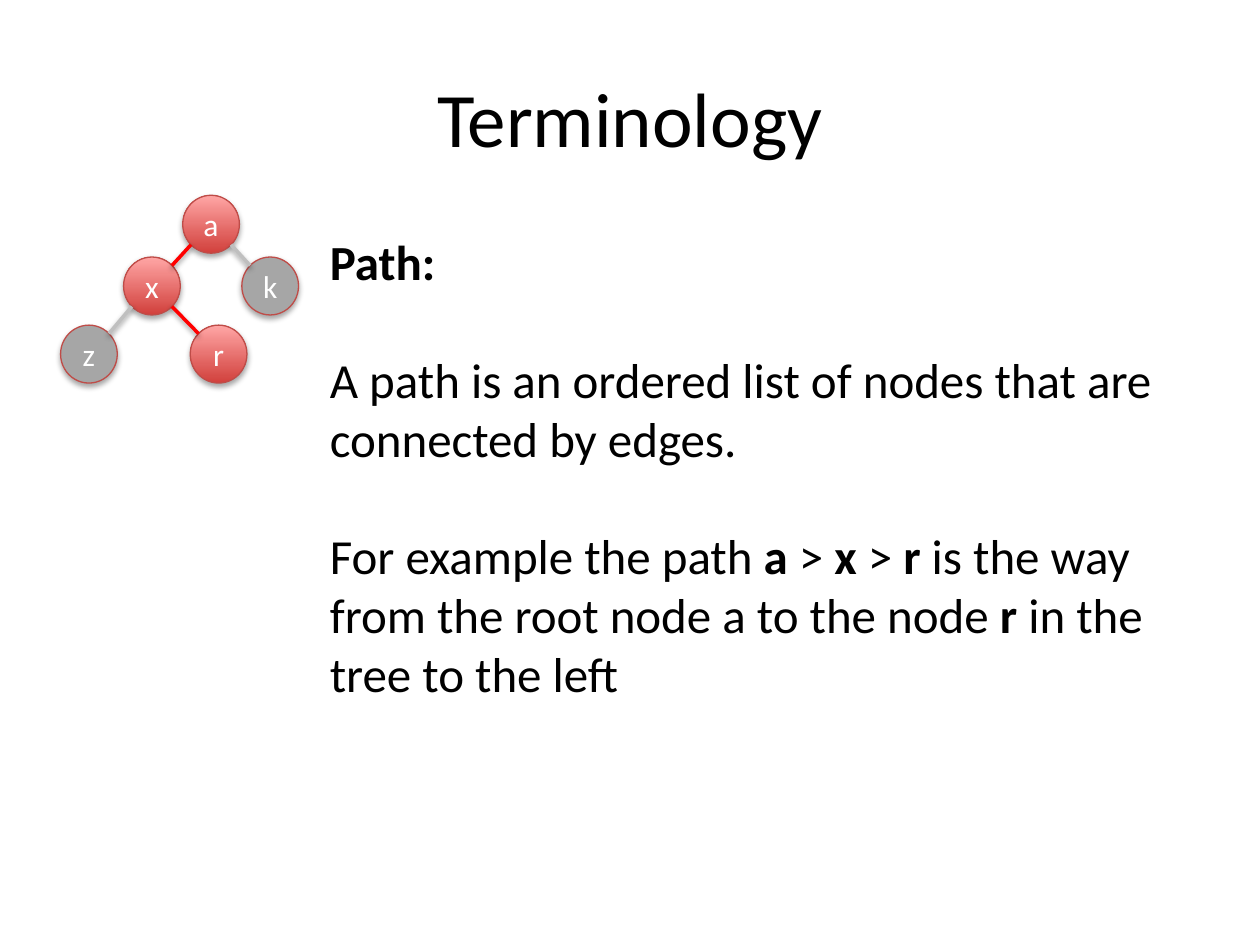
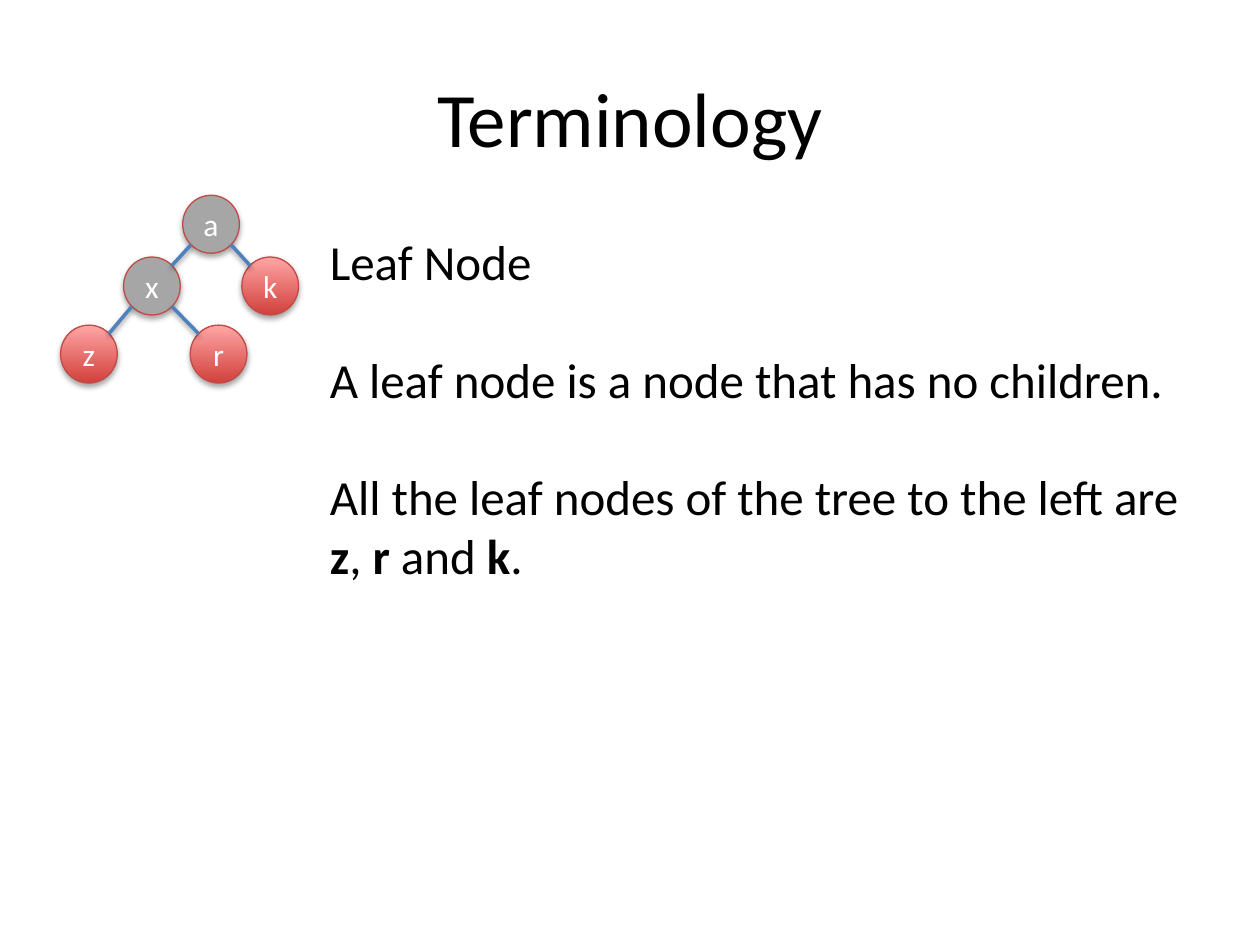
"""Build two terminology slides, each with a small tree beside a definition."""
from math import sqrt

from pptx import Presentation
from pptx.dml.color import RGBColor
from pptx.enum.shapes import MSO_CONNECTOR, MSO_SHAPE
from pptx.enum.text import MSO_ANCHOR as Anchor, MSO_AUTO_SIZE as AutoSize, PP_ALIGN as Align
from pptx.oxml import parse_xml
from pptx.oxml.ns import nsdecls
from pptx.util import Pt

FONT = "Calibri"
BLACK, WHITE, GRAY = "000000", "FFFFFF", "A6A6A6"
RED_DARK, RED_LIGHT, RED_LINE = "D1403C", "FFA6A5", "BF4C48"
PATH_RED, FADED, BLUE = "FF0000", "BFBFBF", "4F81BD"
NODE_WIDTH, NODE_HEIGHT = 32.4, 33.1
NODES = {"k": (138.2, 146.9), "a": (104.4, 111.6), "x": (70.6, 146.9),
         "z": (34.6, 185.8), "r": (108.7, 185.8)}
EDGES = ["ax", "ak", "xz", "xr"]
SLIDES = [
    {"highlighted": "axr", "edge_on": PATH_RED, "edge_off": FADED, "height": 300,
     "text": ["*Path:*",
              "A path is an ordered list of nodes that are connected by edges.",
              "For example the path *a* > *x* > *r* is the way from the root node a "
              "to the node *r* in the tree to the left"]},
    {"highlighted": "zrk", "edge_on": BLUE, "edge_off": BLUE, "height": 266.4,
     "text": ["Leaf Node",
              "A leaf node is a node that has no children.",
              "All the leaf nodes of the tree to the left are *z*, *r* and *k*."]},
]


def write(para, text, size, color=BLACK, align=Align.LEFT, before=0):
    """Fill a paragraph; words between asterisks are bold."""
    para.alignment = align
    para.space_before = Pt(before)
    for index, part in enumerate(text.split("*")):
        if part:
            span = para.add_run()
            span.text = part
            span.font.name = FONT
            span.font.size = Pt(size)
            span.font.bold = index % 2 == 1
            span.font.color.rgb = RGBColor.from_string(color)


def add_shadow(properties, distance, opacity):
    """Give shape properties a soft shadow that falls straight down."""
    for old in properties.findall("{*}effectLst"):
        properties.remove(old)
    properties.append(parse_xml(
        f'<a:effectLst {nsdecls("a")}><a:outerShdw blurRad="{Pt(3.15)}" dist="{Pt(distance)}" '
        f'dir="5400000" rotWithShape="0"><a:srgbClr val="{BLACK}">'
        f'<a:alpha val="{opacity * 1000}"/></a:srgbClr></a:outerShdw></a:effectLst>'))


deck = Presentation()
deck.slide_width, deck.slide_height = Pt(720), Pt(540)

for content in SLIDES:
    page = deck.slides.add_slide(deck.slide_layouts[5])
    title = page.shapes.title
    title.left, title.top, title.width, title.height = Pt(36), Pt(21.6), Pt(648), Pt(90)
    title.text_frame.vertical_anchor = Anchor.MIDDLE
    write(title.text_frame.paragraphs[0], "Terminology", size=44, align=Align.CENTER)

    box = page.shapes.add_textbox(Pt(181.4), Pt(128.9), Pt(502.6), Pt(content["height"]))
    frame = box.text_frame
    frame.word_wrap = True
    frame.auto_size = AutoSize.SHAPE_TO_FIT_TEXT
    for index, text in enumerate(content["text"]):
        para = frame.add_paragraph() if index else frame.paragraphs[0]
        write(para, text, size=28, before=33.6 if index else 0)

    for name, (left, top) in NODES.items():
        node = page.shapes.add_shape(MSO_SHAPE.OVAL, Pt(left), Pt(top),
                                     Pt(NODE_WIDTH), Pt(NODE_HEIGHT))
        if name in content["highlighted"]:
            node.fill.gradient()
            node.fill.gradient_angle = 90
            for stop, color in zip(node.fill.gradient_stops, (RED_DARK, RED_LIGHT)):
                stop.color.rgb = RGBColor.from_string(color)
        else:
            node.fill.solid()
            node.fill.fore_color.rgb = RGBColor.from_string(GRAY)
        node.line.color.rgb = RGBColor.from_string(RED_LINE)
        node.line.width = Pt(0.75)
        add_shadow(node.element.spPr, distance=1.81, opacity=35)
        frame = node.text_frame
        frame.margin_left = frame.margin_right = 0
        frame.vertical_anchor = Anchor.MIDDLE
        write(frame.paragraphs[0], name, size=18, color=WHITE, align=Align.CENTER)

    for parent, child in EDGES:
        (parent_left, parent_top), (child_left, child_top) = NODES[parent], NODES[child]
        side = 1 if child_left > parent_left else -1
        reach_x, reach_y = side * NODE_WIDTH / sqrt(8), NODE_HEIGHT / sqrt(8)
        middle_x, middle_y = NODE_WIDTH / 2, NODE_HEIGHT / 2
        edge = page.shapes.add_connector(
            MSO_CONNECTOR.STRAIGHT,
            Pt(parent_left + middle_x + reach_x), Pt(parent_top + middle_y + reach_y),
            Pt(child_left + middle_x - reach_x), Pt(child_top + middle_y - reach_y))
        on_path = parent in content["highlighted"] and child in content["highlighted"]
        color = content["edge_on"] if on_path else content["edge_off"]
        edge.line.color.rgb = RGBColor.from_string(color)
        edge.line.width = Pt(2)
        add_shadow(edge._element.spPr, distance=1.57, opacity=38)

deck.save("out.pptx")
